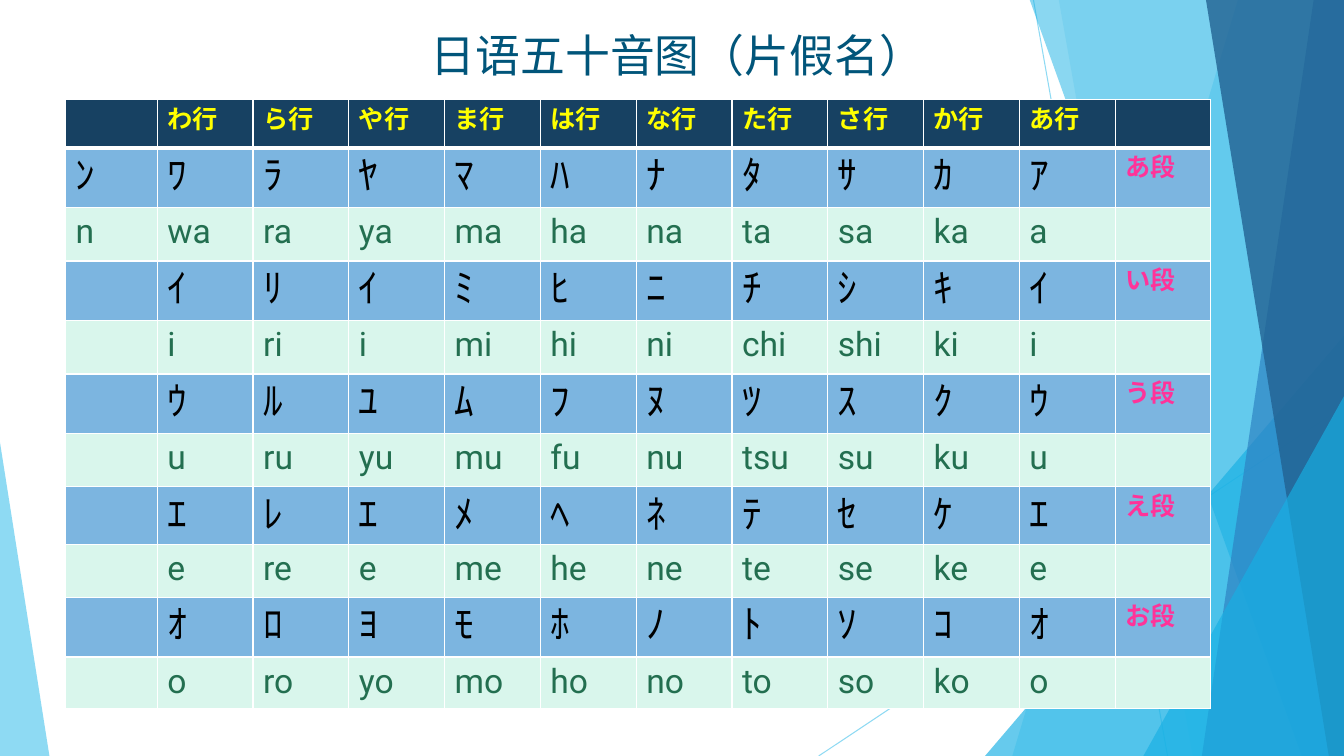
"""Build a slide with the katakana syllabary table."""
import lxml.etree
import pptx
import pptx.dml.color
import pptx.enum.shapes
import pptx.enum.text
import pptx.oxml
import pptx.oxml.ns
import pptx.util

RGBColor = pptx.dml.color.RGBColor
SKY = RGBColor(0x5F, 0xCB, 0xEF)
CYAN = RGBColor(0x17, 0xB0, 0xE4)
BLUE = RGBColor(0x2E, 0x83, 0xC3)
DEEP_BLUE = RGBColor(0x22, 0x62, 0x92)
TITLE_BLUE = RGBColor(0x01, 0x55, 0x7A)
HEADER_FILL = RGBColor(0x17, 0x41, 0x62)
KANA_FILL = RGBColor(0x7C, 0xB5, 0xE0)
ROMAJI_FILL = RGBColor(0xD9, 0xF6, 0xEC)
YELLOW = RGBColor(0xFF, 0xFF, 0x00)
BLACK = RGBColor(0x00, 0x00, 0x00)
PINK = RGBColor(0xFF, 0x33, 0x99)
GREEN = RGBColor(0x23, 0x6F, 0x50)
WHITE = RGBColor(0xFF, 0xFF, 0xFF)

PX = 9144
SLIDE_SIZE = (1333, 750)
TITLE = "日语五十音图（片假名）"
TITLE_BOX = (168, 22, 1008, 64)
TITLE_FONT = "Noto Sans CJK JP"
TABLE_FONT = "Roboto"
HEADERS = "わらやまはなたさかあ"
STEPS = [
    ("あ段", "ﾝ", "ﾜﾗﾔﾏﾊﾅﾀｻｶｱ", "n", "wa ra ya ma ha na ta sa ka a"),
    ("い段", "", "ｲﾘｲﾐﾋﾆﾁｼｷｲ", "", "i ri i mi hi ni chi shi ki i"),
    ("う段", "", "ｳﾙﾕﾑﾌﾇﾂｽｸｳ", "", "u ru yu mu fu nu tsu su ku u"),
    ("え段", "", "ｴﾚｴﾒﾍﾈﾃｾｹｴ", "", "e re e me he ne te se ke e"),
    ("お段", "", "ｵﾛﾖﾓﾎﾉﾄｿｺｵ", "", "o ro yo mo ho no to so ko o"),
]
TABLE_ORIGIN = (65, 99)
COLUMN_WIDTHS = [91] + [95] * 11
ROW_HEIGHTS = [48, 59, 53, 59, 53, 59, 53, 57, 53, 59, 51]

LINES = [((1025, 0), (1158, 750)), ((1333, 403), (812, 750))]
BACK_FACETS = [
    ([(1228, -1), (1333, -1), (1333, 750), (1004, 750)], SKY, 36),
    ([(1050, -1), (1333, -1), (1333, 750), (1183, 750)], SKY, 20),
]
MIDDLE_TRIANGLES = [((977, 333, 356, 417), 1, CYAN, 66)]
FRONT_FACETS = [
    ([(1021, -1), (1333, -1), (1333, 750), (1291, 750)], CYAN, 50),
    ([(1303, -1), (1333, -1), (1333, 750), (1192, 750)], BLUE, 70),
    ([(1196, -1), (1333, -1), (1333, 750), (1318, 750)], DEEP_BLUE, 80),
]
FRONT_TRIANGLES = [
    ((1134, 393, 199, 357), 1, CYAN, 66),
    ((0, 439, 49, 311), 0, SKY, 70),
]


def emu(lengths):
    return [length * PX for length in lengths]


def set_alpha(element, percent):
    for color in element.iter(pptx.oxml.ns.qn("a:srgbClr")):
        alpha = lxml.etree.SubElement(color, pptx.oxml.ns.qn("a:alpha"))
        alpha.set("val", str(percent * 1000))


def paint(shape, color, percent):
    shape.shadow.inherit = False
    shape.fill.solid()
    shape.fill.fore_color.rgb = color
    shape.line.fill.background()
    set_alpha(shape.element.spPr, percent)


def add_line(slide, start, end):
    line = slide.shapes.add_connector(
        pptx.enum.shapes.MSO_CONNECTOR.STRAIGHT, *emu(start + end))
    line.line.color.rgb = SKY
    line.line.width = pptx.util.Pt(0.75)
    set_alpha(line.element.spPr, 70)
    lxml.etree.SubElement(line.element.spPr, pptx.oxml.ns.qn("a:effectLst"))


def add_facet(slide, points, color, percent):
    builder = slide.shapes.build_freeform(*points[0], scale=PX)
    builder.add_line_segments(points[1:], close=True)
    paint(builder.convert_to_shape(), color, percent)


def add_triangle(slide, box, apex, color, percent):
    triangle = slide.shapes.add_shape(
        pptx.enum.shapes.MSO_SHAPE.ISOSCELES_TRIANGLE, *emu(box))
    triangle.adjustments[0] = apex
    paint(triangle, color, percent)


def write(text_frame, text, size, color, font, bold=False, align=pptx.enum.text.PP_ALIGN.LEFT):
    paragraph = text_frame.paragraphs[0]
    paragraph.alignment = align
    run = paragraph.add_run()
    run.text = text
    run.font.size = pptx.util.Pt(size)
    run.font.bold = bold
    run.font.color.rgb = color
    run.font.name = font
    east_asian = lxml.etree.SubElement(run.font._element, pptx.oxml.ns.qn("a:ea"))
    east_asian.set("typeface", font)


def set_borders(cell, bottom_points):
    properties = cell._tc.get_or_add_tcPr()
    namespace = pptx.oxml.ns.nsdecls("a")
    for index, side in enumerate("LRTB"):
        width = pptx.util.Pt(bottom_points if side == "B" else 1)
        properties.insert(index, pptx.oxml.parse_xml(
            f'<a:ln{side} {namespace} w="{width}"><a:solidFill>'
            f'<a:srgbClr val="{WHITE}"/></a:solidFill></a:ln{side}>'))


def table_rows():
    header = dict(size=18, color=YELLOW, bold=True)
    label = dict(size=18, color=PINK, bold=True)
    kana_format = dict(size=28, color=BLACK)
    romaji_format = dict(size=24, color=GREEN)
    yield HEADER_FILL, ["", *(kana + "行" for kana in HEADERS), ""], header, header
    for step, last_kana, kana, last_romaji, romaji in STEPS:
        yield KANA_FILL, [last_kana, *kana, step], kana_format, label
        yield ROMAJI_FILL, [last_romaji, *romaji.split(), ""], romaji_format, label


def add_syllabary(slide):
    frame = slide.shapes.add_table(
        len(ROW_HEIGHTS), len(COLUMN_WIDTHS),
        *emu((*TABLE_ORIGIN, sum(COLUMN_WIDTHS), sum(ROW_HEIGHTS))))
    table = frame.table
    table.horz_banding = False
    for column, width in zip(table.columns, COLUMN_WIDTHS):
        column.width = width * PX
    for row, height, content in zip(table.rows, ROW_HEIGHTS, table_rows()):
        row.height = height * PX
        fill, texts, body_format, label_format = content
        for index, (cell, text) in enumerate(zip(row.cells, texts)):
            cell.fill.solid()
            cell.fill.fore_color.rgb = fill
            set_borders(cell, 3 if fill == HEADER_FILL else 1)
            if text:
                text_format = label_format if index == len(texts) - 1 else body_format
                write(cell.text_frame, text, font=TABLE_FONT, **text_format)
    return frame


def main():
    presentation = pptx.Presentation()
    presentation.slide_width, presentation.slide_height = emu(SLIDE_SIZE)
    slide = presentation.slides.add_slide(presentation.slide_layouts[5])
    for line in LINES:
        add_line(slide, *line)
    for facet in BACK_FACETS:
        add_facet(slide, *facet)
    for triangle in MIDDLE_TRIANGLES:
        add_triangle(slide, *triangle)
    for facet in FRONT_FACETS:
        add_facet(slide, *facet)
    for triangle in FRONT_TRIANGLES:
        add_triangle(slide, *triangle)

    title = slide.shapes.title
    title.left, title.top, title.width, title.height = emu(TITLE_BOX)
    frame = title.text_frame
    frame.margin_left = frame.margin_right = frame.margin_top = frame.margin_bottom = 0
    frame.word_wrap = True
    frame.auto_size = pptx.enum.text.MSO_AUTO_SIZE.NONE
    frame.vertical_anchor = pptx.enum.text.MSO_ANCHOR.MIDDLE
    write(frame, TITLE, 32, TITLE_BLUE, TITLE_FONT, align=pptx.enum.text.PP_ALIGN.CENTER)
    add_syllabary(slide).element.addprevious(title.element)
    presentation.save("out.pptx")


if __name__ == "__main__":
    main()
